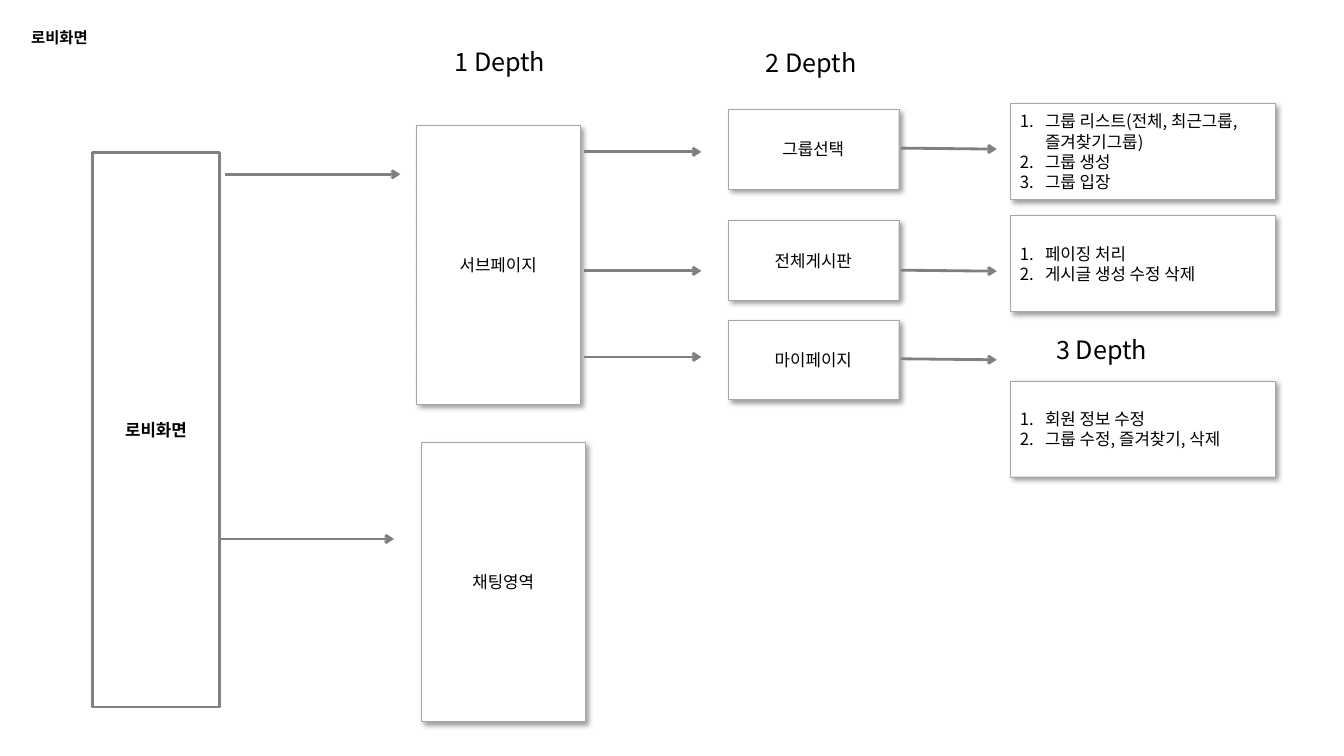
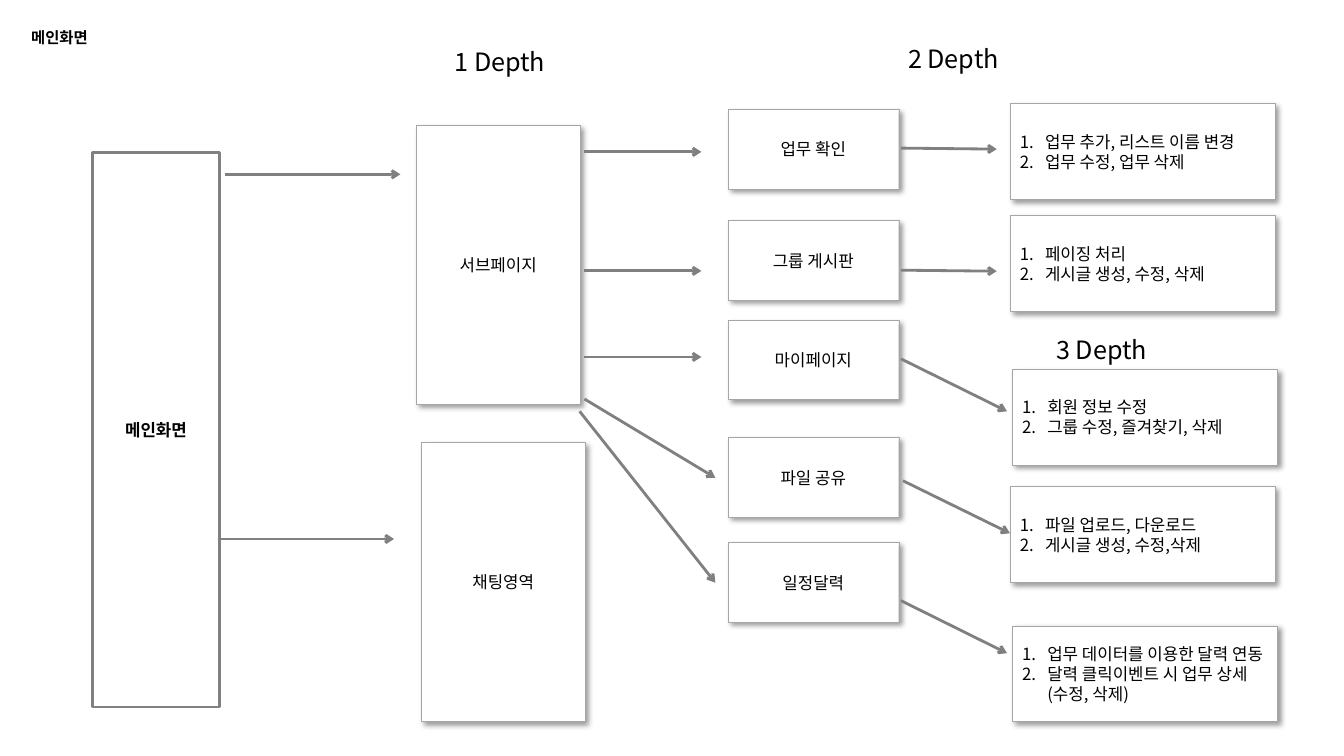
from dataclasses import dataclass

from lxml.etree import SubElement
from pptx import Presentation
from pptx.dml.color import RGBColor
from pptx.enum.shapes import MSO_CONNECTOR as Connector, MSO_SHAPE as Shape
from pptx.enum.text import MSO_ANCHOR as Anchor, MSO_AUTO_SIZE as AutoSize, PP_ALIGN as Align
from pptx.oxml.ns import qn
from pptx.util import Pt


@dataclass(frozen=True)
class Theme:
    font: str = "Noto Sans CJK KR"
    ink: RGBColor = RGBColor(0x00, 0x00, 0x00)
    paper: RGBColor = RGBColor(0xFF, 0xFF, 0xFF)
    strong_line: RGBColor = RGBColor(0x80, 0x80, 0x80)
    thin_line: RGBColor = RGBColor(0xA6, 0xA6, 0xA6)
    title_size: float = 11
    body_size: float = 12
    label_size: float = 18
    line_pitch: float = 1.21
    strong_width: float = 2
    thin_width: float = 0.25
    list_indent: float = 18


theme = Theme()

# Geometry shared by both slides, in points
TITLE_AREA = (15, 15, 496, 23)
ROOT_AREA = (66, 109, 91, 396)
LEVEL_ONE = [("서브페이지", 297.4, 89.3), ("채팅영역", 301, 316)]
LEVEL_ONE_SIZE = (117, 199.5)
NODE_LEFT, NODE_SIZE = 520, (122, 57)
NODE_TOPS = [78, 157.5, 228.5, 312.5, 387.5]
LIST_SIZE = (189.5, 68.5)
LABEL_SIZE = (82, 29)
SHARED_LABELS = [("1 Depth", 317.5, 29.5), ("3 Depth", 747.4, 234.7)]
SHARED_ARROWS = [
    (160.5, 124.5, 286, 124.5),
    (156, 385, 281.5, 385),
    *[(417.5, y, 501, y) for y in (108.5, 193.5, 255)],
    *[(643.5, y, 712, y + 0.7) for y in (105.8, 193)],
]

# What differs from slide to slide
SLIDES = [
    {
        "title": "로비화면",
        "label": ("2 Depth", 540, 30.2),
        "nodes": ["그룹선택", "전체게시판", "마이페이지"],
        "lists": [
            (721.4, 74, ["그룹 리스트(전체, 최근그룹,즐겨찾기그룹)", "그룹 생성", "그룹 입장"]),
            (721.4, 154, ["페이징 처리", "게시글 생성 수정 삭제"]),
            (721.4, 272, ["회원 정보 수정", "그룹 수정, 즐겨찾기, 삭제"]),
        ],
        "arrows": [(643.5, 256.3, 712, 257)],
    },
    {
        "title": "메인화면",
        "label": ("2 Depth", 641.5, 27.4),
        "nodes": ["업무 확인", "그룹 게시판", "마이페이지", "파일 공유", "일정달력"],
        "lists": [
            (721.4, 74, ["업무 추가, 리스트 이름 변경", "업무 수정, 업무 삭제"]),
            (721.4, 154, ["페이징 처리", "게시글 생성, 수정, 삭제"]),
            (723, 263.5, ["회원 정보 수정", "그룹 수정, 즐겨찾기, 삭제"]),
            (721.4, 347.5, ["파일 업로드, 다운로드", "게시글 생성, 수정,삭제"]),
            (723, 447, ["업무 데이터를 이용한 달력 연동", "달력 클릭이벤트 시 업무 상세(수정, 삭제)"]),
        ],
        "arrows": [
            (643.5, 256.3, 719.3, 293.8),
            (417.5, 285, 511, 341.3),
            (414, 293.8, 511, 416.2),
            (645, 343.4, 721.4, 380.9),
            (643.5, 429, 719.3, 466.6),
        ],
    },
]


def write_text(shape, lines, size, bold=False, align=Align.LEFT, numbered=False):
    frame = shape.text_frame
    for name, value in {"word_wrap": True, "auto_size": AutoSize.NONE,
                        "vertical_anchor": Anchor.MIDDLE}.items():
        setattr(frame, name, value)
    for index, line in enumerate(lines):
        paragraph = frame.add_paragraph() if index else frame.paragraphs[0]
        paragraph.alignment = align
        paragraph.line_spacing = Pt(size * theme.line_pitch)
        run = paragraph.add_run()
        run.text = line
        for name, value in {"name": theme.font, "size": Pt(size), "bold": bold}.items():
            setattr(run.font, name, value)
        run.font.color.rgb = theme.ink
        SubElement(run._r.get_or_add_rPr(), qn("a:ea"), typeface=theme.font)
        if numbered:
            properties = paragraph._p.get_or_add_pPr()
            properties.set("marL", str(Pt(theme.list_indent)))
            properties.set("indent", str(-Pt(theme.list_indent)))
            SubElement(properties, qn("a:buAutoNum"), type="arabicPeriod")


def add_card(slide, area, lines, align=Align.CENTER, numbered=False):
    card = slide.shapes.add_shape(Shape.RECTANGLE, *map(Pt, area))
    card.fill.solid()
    card.fill.fore_color.rgb = theme.paper
    card.line.color.rgb = theme.thin_line
    card.line.width = Pt(theme.thin_width)
    effects = SubElement(card.element.spPr, qn("a:effectLst"))
    shadow = SubElement(effects, qn("a:outerShdw"), blurRad=str(Pt(4)), dist=str(Pt(3)),
                        dir="2700000", algn="tl", rotWithShape="0")
    shadow_color = SubElement(shadow, qn("a:srgbClr"), val=str(theme.ink))
    SubElement(shadow_color, qn("a:alpha"), val="40000")
    write_text(card, lines, theme.body_size, align=align, numbered=numbered)


presentation = Presentation()
presentation.slide_width, presentation.slide_height = Pt(960), Pt(540)

# Title position, set once on the layout
layout = presentation.slide_layouts[5]
layout_title = layout.placeholders[0]
for name, value in zip(("left", "top", "width", "height"), TITLE_AREA):
    setattr(layout_title, name, Pt(value))

for content in SLIDES:
    slide = presentation.slides.add_slide(layout)
    write_text(slide.shapes.title, [content["title"]], theme.title_size, bold=True)

    # Root screen
    root = slide.shapes.add_shape(Shape.RECTANGLE, *map(Pt, ROOT_AREA))
    root.shadow.inherit = False
    root.fill.background()
    root.line.color.rgb = theme.strong_line
    root.line.width = Pt(theme.strong_width)
    write_text(root, [content["title"]], theme.body_size, bold=True, align=Align.CENTER)

    # Cards, level by level
    for text, left, top in LEVEL_ONE:
        add_card(slide, (left, top, *LEVEL_ONE_SIZE), [text])
    for text, top in zip(content["nodes"], NODE_TOPS):
        add_card(slide, (NODE_LEFT, top, *NODE_SIZE), [text])
    for left, top, items in content["lists"]:
        add_card(slide, (left, top, *LIST_SIZE), items, Align.LEFT, numbered=True)

    # Arrows
    for ends in SHARED_ARROWS + content["arrows"]:
        arrow = slide.shapes.add_connector(Connector.STRAIGHT, *map(Pt, ends))
        arrow.line.color.rgb = theme.strong_line
        arrow.line.width = Pt(theme.strong_width)
        SubElement(arrow.line._get_or_add_ln(), qn("a:tailEnd"), type="arrow")
        SubElement(arrow.element.spPr, qn("a:effectLst"))

    # Depth labels
    for text, left, top in SHARED_LABELS + [content["label"]]:
        label = slide.shapes.add_textbox(*map(Pt, (left, top, *LABEL_SIZE)))
        write_text(label, [text], theme.label_size)

presentation.save("out.pptx")
